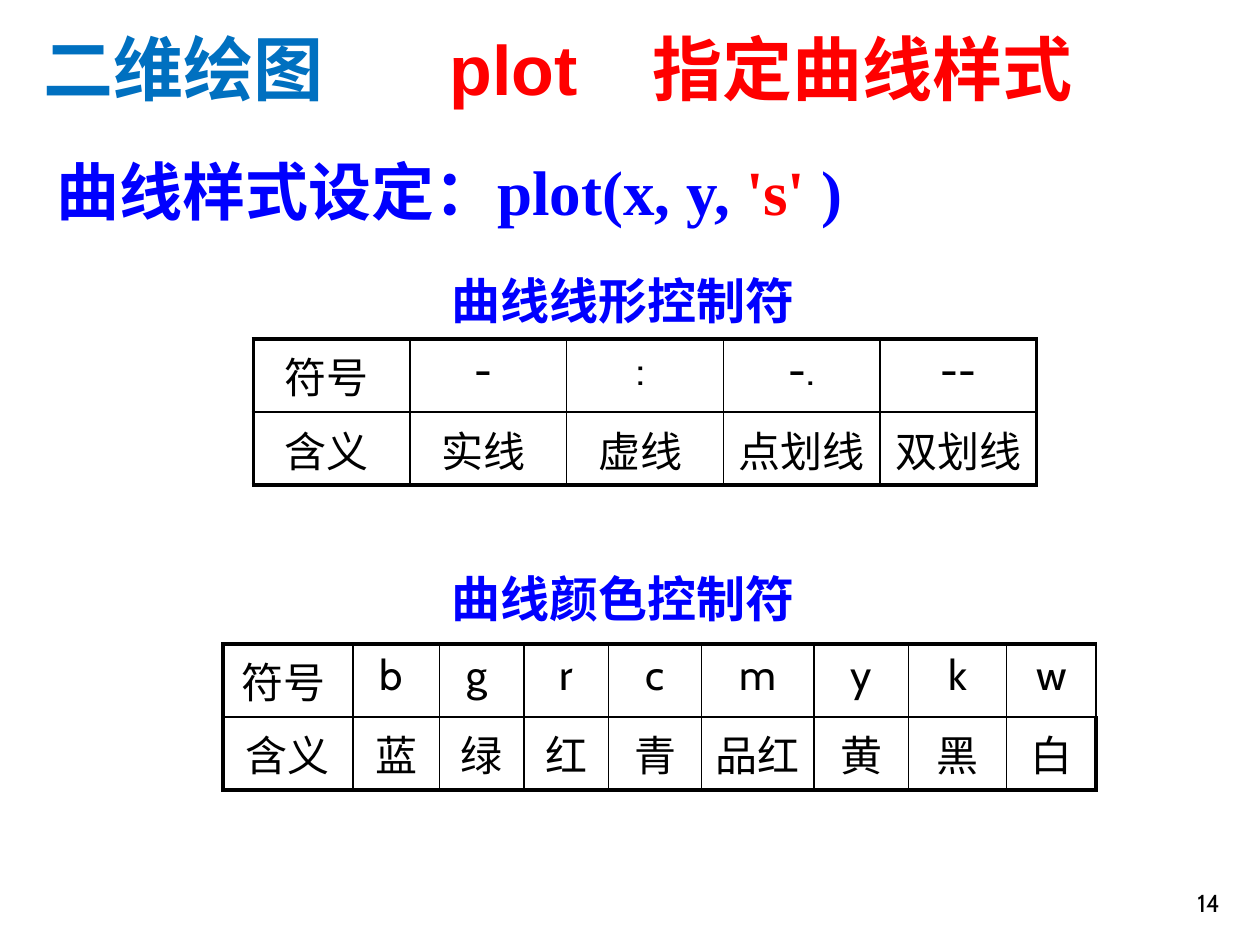
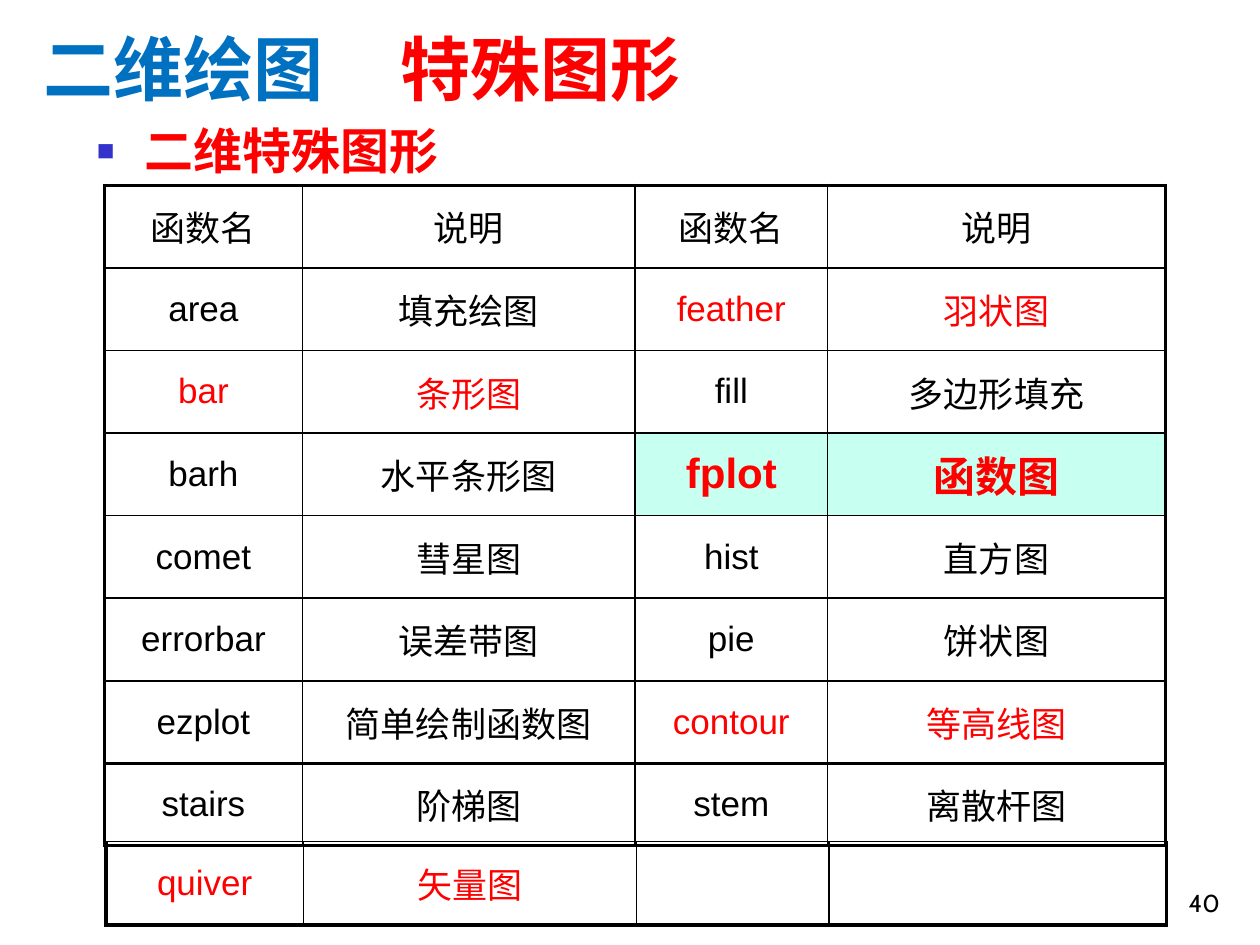
from pptx import Presentation
from pptx.util import Inches, Pt
from pptx.dml.color import RGBColor
from pptx.enum.text import PP_ALIGN, MSO_ANCHOR
from pptx.oxml.ns import qn
from lxml import etree

LEFT, CENTER, RIGHT = PP_ALIGN.LEFT, PP_ALIGN.CENTER, PP_ALIGN.RIGHT
TOP, MIDDLE, BOTTOM = MSO_ANCHOR.TOP, MSO_ANCHOR.MIDDLE, MSO_ANCHOR.BOTTOM

BLACK = RGBColor(0x00, 0x00, 0x00)
RED = RGBColor(0xFF, 0x00, 0x00)
BLUE = RGBColor(0x00, 0x00, 0xFF)
SKY = RGBColor(0x00, 0x70, 0xC0)
MINT = RGBColor(0xC7, 0xFF, 0xF0)
BULLET = RGBColor(0x33, 0x33, 0xCC)
ARIAL, CABIN, TIMES = "Arial", "Cabin", "Times New Roman"
CJK = "Noto Sans CJK SC"
THICK, THIN = 2.25, 1

# Content: titles are (text after a tab stop, stop position in inches)
TOPIC = "二维绘图"
STYLE_TITLE = [("plot", 3.22), ("指定曲线样式", 4.83)]
SPECIAL_TITLE = [("特殊图形", 2.83)]

SYNTAX = [("曲线样式设定：", CABIN, BLUE), ("plot(x, y, ", TIMES, BLUE),
          ("'s' ", TIMES, RED), (")", TIMES, BLUE)]
LINE_STYLES = [["符号 ", "- ", ": ", "-.", "--"],
               ["含义 ", "实线 ", "虚线 ", "点划线 ", "双划线 "]]
LINE_COLORS = [["符号 ", "b ", "g ", "r", "c", "m", "y", "k", "w"],
               ["含义", "蓝", "绿", "红", "青", "品红", "黄", "黑", "白"]]
COLOR_COLS = [1.03, 0.69, 0.67, 0.67, 0.74, 0.89, 0.75, 0.78, 0.71]

FUNCTIONS = [["函数名", "说明", "函数名", "说明"],
             ["area", "填充绘图", "feather", "羽状图"],
             ["bar", "条形图", "fill", "多边形填充"],
             ["barh", "水平条形图", "fplot", "函数图"],
             ["comet", "彗星图", "hist", "直方图"],
             ["errorbar", "误差带图", "pie", "饼状图"],
             ["ezplot", "简单绘制函数图", "contour", "等高线图"]]
STAIRS = [["stairs", "阶梯图", "stem", "离散杆图"]]
QUIVER = [["quiver", "矢量图", "", ""]]
FUNCTION_COLS = [1.57, 2.64, 1.53, 2.68]
RED_WORDS = {"feather", "羽状图", "bar", "条形图", "contour", "等高线图",
             "quiver", "矢量图"}
KEY_WORDS = {"fplot", "函数图"}


def add_run(p, text, size, font, color, bold=False):
    r = p.add_run()
    r.text = text
    r.font.size, r.font.name, r.font.bold = Pt(size), font, bold
    r.font.color.rgb = color
    ea = etree.SubElement(r._r.get_or_add_rPr(), qn("a:ea"))
    ea.set("typeface", CJK)


def add_text(slide, box, runs, align=LEFT, anchor=TOP):
    """runs: (text, size, font, color, bold); returns the paragraph."""
    sp = slide.shapes.add_textbox(*map(Inches, box))
    tf = sp.text_frame
    tf.word_wrap, tf.vertical_anchor = True, anchor
    p = tf.paragraphs[0]
    p.alignment = align
    for run in runs:
        add_run(p, *run)
    return p


def add_frame(slide, width, parts, number):
    """Title with tabbed parts, and page number."""
    runs = [(TOPIC, 40, ARIAL, SKY, True)]
    runs += [("\t" + text, 40, ARIAL, RED, True) for text, _ in parts]
    p = add_text(slide, (0.25, 0.21, width, 0.71), runs, anchor=BOTTOM)
    tabs = etree.SubElement(p._p.get_or_add_pPr(), qn("a:tabLst"))
    for _, stop in parts:
        etree.SubElement(tabs, qn("a:tab"), pos=str(Inches(stop)), algn="l")
    add_text(slide, (7.7, 6.83, 2.08, 0.5),
             [(str(number), 14, CABIN, BLACK)], RIGHT, BOTTOM)


def set_borders(cell, widths):
    tc_pr = cell._tc.get_or_add_tcPr()
    for side, width in zip("LRTB", widths):
        ln = etree.SubElement(tc_pr, qn("a:ln" + side), w=str(Pt(width)))
        fill = etree.SubElement(ln, qn("a:solidFill"))
        etree.SubElement(fill, qn("a:srgbClr"), val=str(BLACK))


def add_grid(slide, left, top, cols, row_h, rows, size, font, anchor,
             top_line=THICK, open_corner=False):
    """Table with a thick frame; open_corner thins the top right edge."""
    last_r, last_c = len(rows) - 1, len(cols) - 1
    table = slide.shapes.add_table(
        len(rows), len(cols), Inches(left), Inches(top),
        Inches(sum(cols)), Inches(row_h * len(rows))).table
    table.first_row = table.horz_banding = False
    for col, width in zip(table.columns, cols):
        col.width = Inches(width)
    for i, words in enumerate(rows):
        table.rows[i].height = Inches(row_h)
        for j, word in enumerate(words):
            cell = table.cell(i, j)
            thick_right = j == last_c and not (open_corner and i == 0)
            set_borders(cell, (THIN if j else THICK,
                               THICK if thick_right else THIN,
                               THIN if i else top_line,
                               THICK if i == last_r else THIN))
            cell.vertical_anchor = anchor
            key = word in KEY_WORDS
            if key:
                cell.fill.solid()
                cell.fill.fore_color.rgb = MINT
            else:
                cell.fill.background()
            if word:
                p = cell.text_frame.paragraphs[0]
                p.alignment = CENTER
                color = RED if key or word in RED_WORDS else BLACK
                add_run(p, word, 24 if key else size, font, color, key)


def build_style_slide(slide):
    add_frame(slide, 8.58, STYLE_TITLE, 14)
    add_text(slide, (0.35, 1.15, 8.98, 0.71),
             [(text, 36, font, color, True) for text, font, color in SYNTAX],
             anchor=BOTTOM)
    for top, caption in ((2.1, "曲线线形控制符"), (4.46, "曲线颜色控制符")):
        add_text(slide, (0.41, top, 9.07, 0.6),
                 [(caption, 28, CJK, BLUE, True)], CENTER)
    add_grid(slide, 2.01, 2.69, [6.22 / 5] * 5, 0.58, LINE_STYLES,
             24, CABIN, TOP)
    add_grid(slide, 1.77, 5.11, COLOR_COLS, 0.58, LINE_COLORS,
             24, CABIN, TOP, open_corner=True)


def build_special_slide(slide):
    add_frame(slide, 9.69, SPECIAL_TITLE, 40)
    p = add_text(slide, (0.67, 0.91, 4.59, 0.72),
                 [("二维特殊图形", 28, CABIN, RED, True)])
    # Square bullet with a hanging indent
    p_pr = p._p.get_or_add_pPr()
    p_pr.set("marL", str(Inches(0.38)))
    p_pr.set("indent", str(-Inches(0.38)))
    color = etree.SubElement(p_pr, qn("a:buClr"))
    etree.SubElement(color, qn("a:srgbClr"), val=str(BULLET))
    etree.SubElement(p_pr, qn("a:buSzPct"), val="60000")
    etree.SubElement(p_pr, qn("a:buFont"), typeface=ARIAL)
    etree.SubElement(p_pr, qn("a:buChar"), char="■")
    # One main table and two single-row continuations
    for left, top, height, rows, line in (
            (0.83, 1.47, 4.59 / 7, FUNCTIONS, THICK),
            (0.83, 6.05, 0.66, STAIRS, THIN),
            (0.84, 6.68, 0.66, QUIVER, THIN)):
        add_grid(slide, left, top, FUNCTION_COLS, height, rows,
                 20, ARIAL, MIDDLE, top_line=line)


def main():
    prs = Presentation()
    prs.slide_width, prs.slide_height = Inches(10), Inches(7.5)
    for build in (build_style_slide, build_special_slide):
        build(prs.slides.add_slide(prs.slide_layouts[6]))
    prs.save("out.pptx")


if __name__ == "__main__":
    main()
